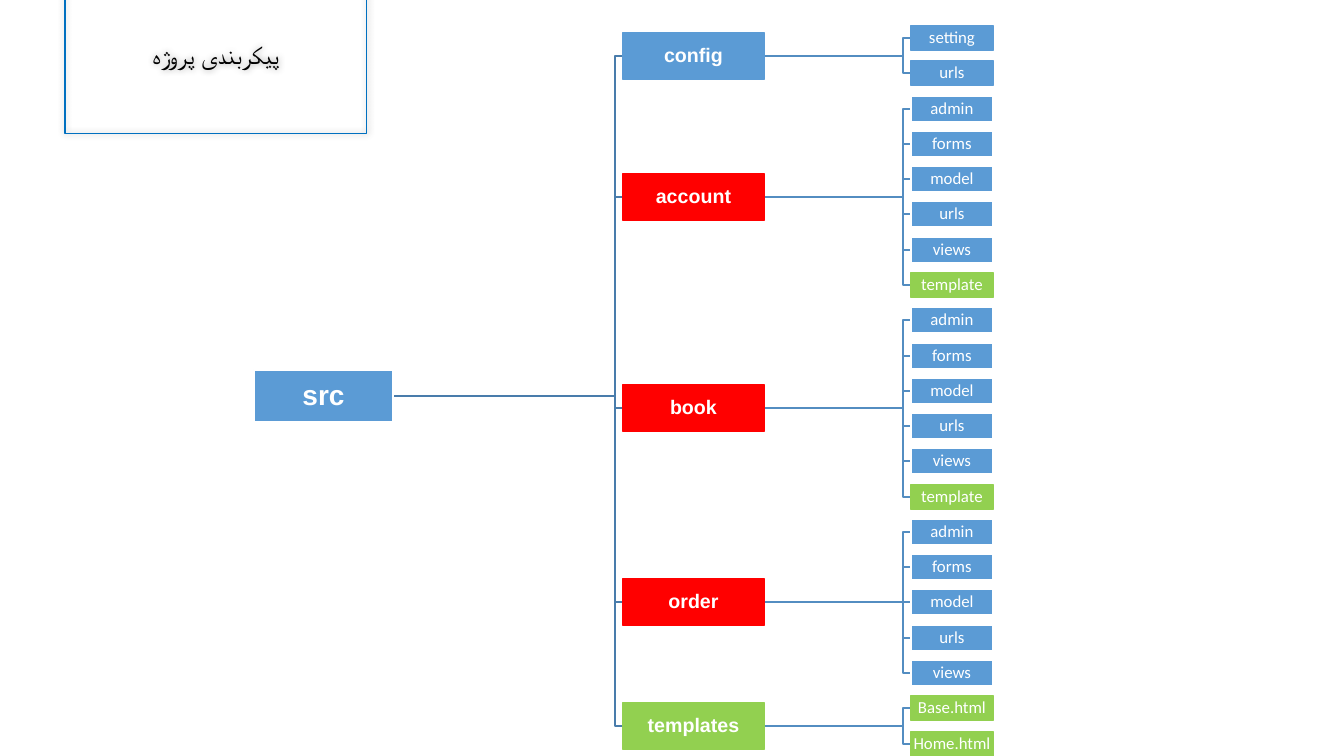
import pptx
import pptx.dml.color
import pptx.enum.shapes
import pptx.enum.text
import pptx.oxml
import pptx.oxml.ns
import pptx.util

PIXEL = 6858000 / 756
BLUE, RED, GREEN, WHITE = "5B9BD5", "FF0000", "92D050", "FFFFFF"
ROOT_LINE, FOLDER_LINE = "497CAB", "538DC1"
ROW_TOP, ROW_PITCH = 38, 35.28
ROOT_BOX = (254, 139, 52)  # left, width, height
FOLDER_BOX = (623, 141, 47)
FILE_BOX = (911, 82, 25)
ROOT_CENTRE = 396
MODULES = ["admin", "forms", "model", "urls", "views"]

# folder name, folder colour, blue files' outline, files
FOLDERS = [
    ("config", BLUE, BLUE, ["setting", "urls"]),
    ("account", RED, WHITE, MODULES + ["template"]),
    ("book", RED, WHITE, MODULES + ["template"]),
    ("order", RED, WHITE, MODULES),
    ("templates", GREEN, GREEN, ["Base.html", "Home.html"]),
]


def px(length):
    """Turn pixels into EMU."""
    return pptx.util.Emu(round(length * PIXEL))


def rgb(value):
    """Turn a hex string into a colour."""
    return pptx.dml.color.RGBColor.from_string(value)


def set_line(shape, color, width=1):
    """Set the colour and width in points of a line or outline."""
    shape.line.color.rgb = rgb(color)
    shape.line.width = pptx.util.Pt(width)


def format_text(paragraph, font_name, size, color, bold=False):
    """Centre a paragraph and set the font of its runs."""
    paragraph.alignment = pptx.enum.text.PP_ALIGN.CENTER
    for run in paragraph.runs:
        run.font.name = font_name
        run.font.size = pptx.util.Pt(size)
        run.font.bold = bold
        run.font.color.rgb = rgb(color)


def add_effects(shape, content=""):
    """Give a shape its own effect list, empty unless content is given."""
    namespace = pptx.oxml.ns.nsdecls("a")
    effects = pptx.oxml.parse_xml(f"<a:effectLst {namespace}>{content}</a:effectLst>")
    shape._element.spPr.append(effects)


def add_title(slide, text):
    """Fill the outlined title with its right-to-left text and soft shadow."""
    title = slide.shapes.title
    title.left, title.top, title.width, title.height = map(px, (65, 34, 302, 41))
    title.fill.background()
    set_line(title, "0070C0", 0.75)
    add_effects(title, '<a:outerShdw blurRad="63500" dist="0" dir="0"><a:srgbClr '
                       'val="000000"><a:alpha val="40000"/></a:srgbClr></a:outerShdw>')
    frame = title.text_frame
    frame.text = text
    frame.vertical_anchor = pptx.enum.text.MSO_ANCHOR.MIDDLE
    frame.auto_size = pptx.enum.text.MSO_AUTO_SIZE.SHAPE_TO_FIT_TEXT
    paragraph = frame.paragraphs[0]
    format_text(paragraph, "Calibri", 18, "000000")
    paragraph._p.get_or_add_pPr().set("rtl", "1")


def add_node(slide, text, box, centre, fill, outline, font_name, size, bold=False):
    """Add a tree box that is centred on a height."""
    left, width, height = box
    shape = slide.shapes.add_shape(
        pptx.enum.shapes.MSO_SHAPE.RECTANGLE,
        px(left), px(centre - height / 2), px(width), px(height))
    shape.shadow.inherit = False
    shape.fill.solid()
    shape.fill.fore_color.rgb = rgb(fill)
    set_line(shape, outline)
    frame = shape.text_frame
    frame.margin_left = frame.margin_right = px(1)
    frame.margin_top = frame.margin_bottom = px(1)
    frame.word_wrap = True
    frame.vertical_anchor = pptx.enum.text.MSO_ANCHOR.MIDDLE
    frame.text = text
    frame.paragraphs[0].line_spacing = 0.9
    format_text(frame.paragraphs[0], font_name, size, WHITE, bold)


def add_branch(slide, parent_box, parent_centre, child_box, child_centre, color):
    """Join a parent box to a child box, with a bend just before the child."""
    start, end = parent_box[0] + parent_box[1], child_box[0]
    if parent_centre == child_centre:
        branch = slide.shapes.add_connector(
            pptx.enum.shapes.MSO_CONNECTOR.STRAIGHT,
            px(start), px(parent_centre), px(end), px(child_centre))
        add_effects(branch)
    else:
        bend = end - 8
        builder = slide.shapes.build_freeform(start, parent_centre, scale=PIXEL)
        builder.add_line_segments(
            [(bend, parent_centre), (bend, child_centre), (end, child_centre)],
            close=False)
        branch = builder.convert_to_shape()
        branch.fill.background()
        branch.shadow.inherit = False
    set_line(branch, color)


def add_folder(slide, name, color, file_outline, files, first_row):
    """Add a folder with its files, one a row, and all its branches."""
    centres = [round(ROW_TOP + ROW_PITCH * (first_row + index))
               for index in range(len(files))]
    folder_centre = round((centres[0] + centres[-1]) / 2)
    add_branch(slide, ROOT_BOX, ROOT_CENTRE, FOLDER_BOX, folder_centre, ROOT_LINE)
    for centre in centres:
        add_branch(slide, FOLDER_BOX, folder_centre, FILE_BOX, centre, FOLDER_LINE)
    add_node(slide, name, FOLDER_BOX, folder_centre, color, color, "Arial", 14, True)
    for file_name, centre in zip(files, centres):
        is_template = file_name == "template" or file_name.endswith(".html")
        fill, outline = (GREEN, GREEN) if is_template else (BLUE, file_outline)
        add_node(slide, file_name, FILE_BOX, centre, fill, outline, "Calibri", 12)


def main():
    """Build the project tree slide."""
    presentation = pptx.Presentation()
    presentation.slide_width, presentation.slide_height = px(1344), px(756)
    slide = presentation.slides.add_slide(presentation.slide_layouts[5])
    add_title(slide, "پیکربندی پروژه")
    first_row = 0
    for name, color, file_outline, files in FOLDERS:
        add_folder(slide, name, color, file_outline, files, first_row)
        first_row += len(files)
    add_node(slide, "src", ROOT_BOX, ROOT_CENTRE, BLUE, WHITE, "Arial", 20, True)
    presentation.save("out.pptx")


main()
